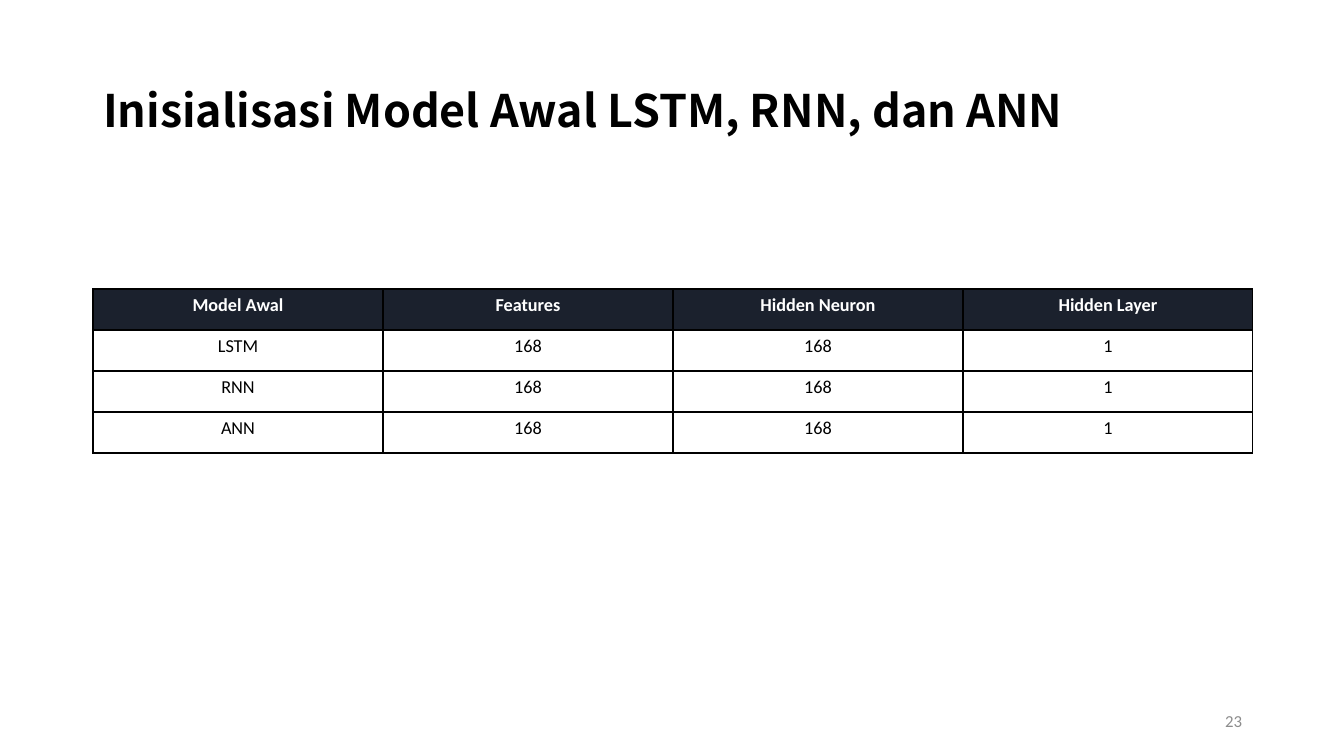
from dataclasses import dataclass

from lxml import etree
from pptx import Presentation
from pptx.dml.color import RGBColor
from pptx.enum.text import MSO_ANCHOR, PP_ALIGN
from pptx.oxml.ns import qn
from pptx.util import Emu, Pt


@dataclass(frozen=True)
class Theme:
    title_font: str = "Noto Sans CJK TC"
    body_font: str = "Calibri"
    title_size: int = 32
    table_size: int = 13
    number_size: int = 12
    black: str = "000000"
    white: str = "FFFFFF"
    header: str = "1B212D"
    grey: str = "8C8C8C"


THEME = Theme()
EMU_PER_PX = 12192000 / 1344
LEFT, WIDTH = 93, 1159
COLUMN_WIDTH, ROW_HEIGHT = 290, 41
BORDER_WIDTH = Pt(1)


def px(*lengths):
    return [Emu(round(length * EMU_PER_PX)) for length in lengths]


def write(text_frame, text, font, size, color, bold=False, align=PP_ALIGN.LEFT):
    text_frame.text = text
    paragraph = text_frame.paragraphs[0]
    paragraph.alignment = align
    run = paragraph.runs[0]
    run.font.name = font
    run.font.size = Pt(size)
    run.font.bold = bold
    run.font.color.rgb = RGBColor.from_string(color)
    return paragraph


presentation = Presentation()
presentation.slide_width, presentation.slide_height = px(1344, 756)
slide = presentation.slides.add_slide(presentation.slide_layouts[5])

# Title
title = slide.shapes.title
title.left, title.top, title.width, title.height = px(LEFT, 40, WIDTH, 146)
title.text_frame.vertical_anchor = MSO_ANCHOR.MIDDLE
title_paragraph = write(title.text_frame, "Inisialisasi Model Awal LSTM, RNN, dan ANN",
                        THEME.title_font, THEME.title_size, THEME.black, bold=True)
title_paragraph.line_spacing = 0.9

# Model table
rows = [
    ("Model Awal", "Features", "Hidden Neuron", "Hidden Layer"),
    ("LSTM", "168", "168", "1"),
    ("RNN", "168", "168", "1"),
    ("ANN", "168", "168", "1"),
]
table = slide.shapes.add_table(
    len(rows), len(rows[0]),
    *px(LEFT, 289, COLUMN_WIDTH * len(rows[0]), ROW_HEIGHT * len(rows))).table
for column in table.columns:
    column.width = px(COLUMN_WIDTH)[0]
for row in table.rows:
    row.height = px(ROW_HEIGHT)[0]

for row_index, values in enumerate(rows):
    is_header = row_index == 0
    for column_index, value in enumerate(values):
        cell = table.cell(row_index, column_index)
        write(cell.text_frame, value, THEME.body_font, THEME.table_size,
              THEME.white if is_header else THEME.black,
              bold=is_header, align=PP_ALIGN.CENTER)
        cell.fill.solid()
        cell.fill.fore_color.rgb = RGBColor.from_string(
            THEME.header if is_header else THEME.white)
        properties = cell._tc.get_or_add_tcPr()
        for position, edge in enumerate(("a:lnL", "a:lnR", "a:lnT", "a:lnB")):
            line = etree.Element(qn(edge), w=str(BORDER_WIDTH))
            fill = etree.SubElement(line, qn("a:solidFill"))
            etree.SubElement(fill, qn("a:srgbClr"), val=THEME.black)
            properties.insert(position, line)

# Slide number
number = slide.shapes.add_textbox(*px(950, 701, 302, 40))
number.text_frame.word_wrap = True
number.text_frame.vertical_anchor = MSO_ANCHOR.MIDDLE
write(number.text_frame, "23", THEME.body_font, THEME.number_size, THEME.grey,
      align=PP_ALIGN.RIGHT)

presentation.save("out.pptx")
